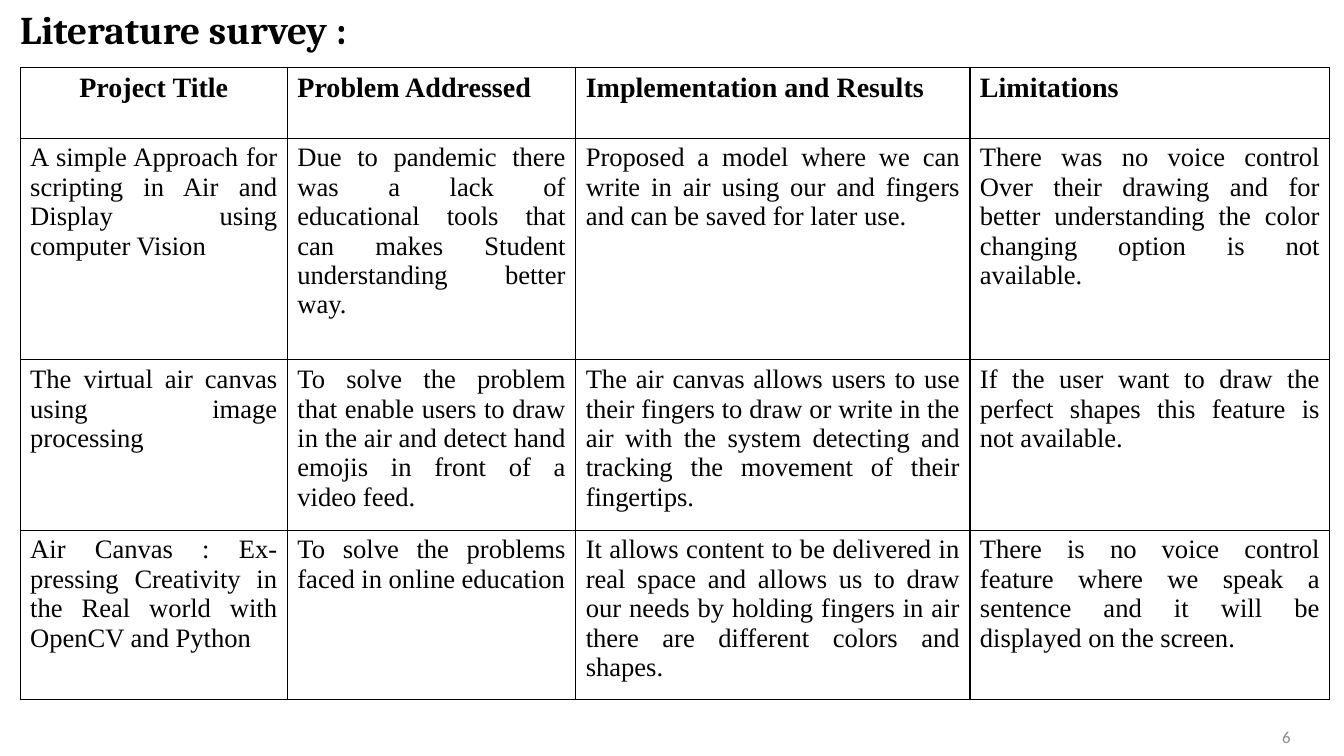
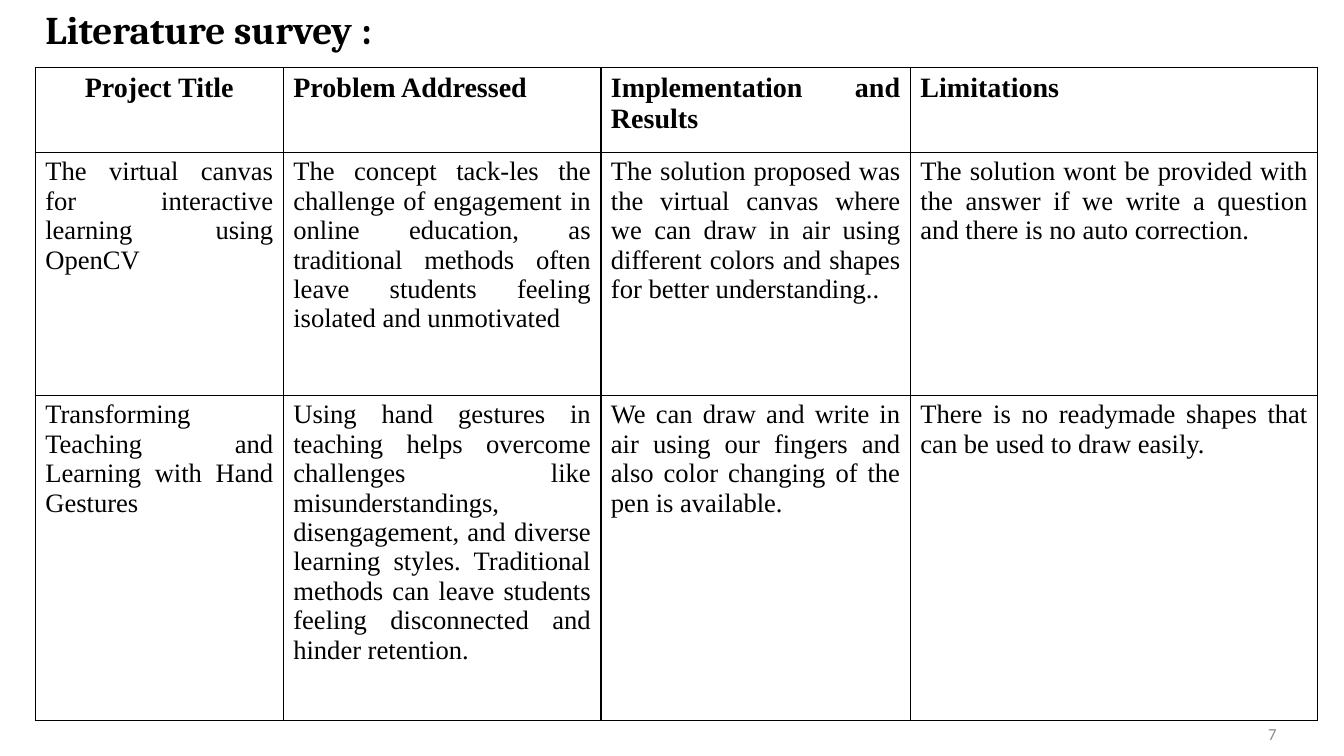
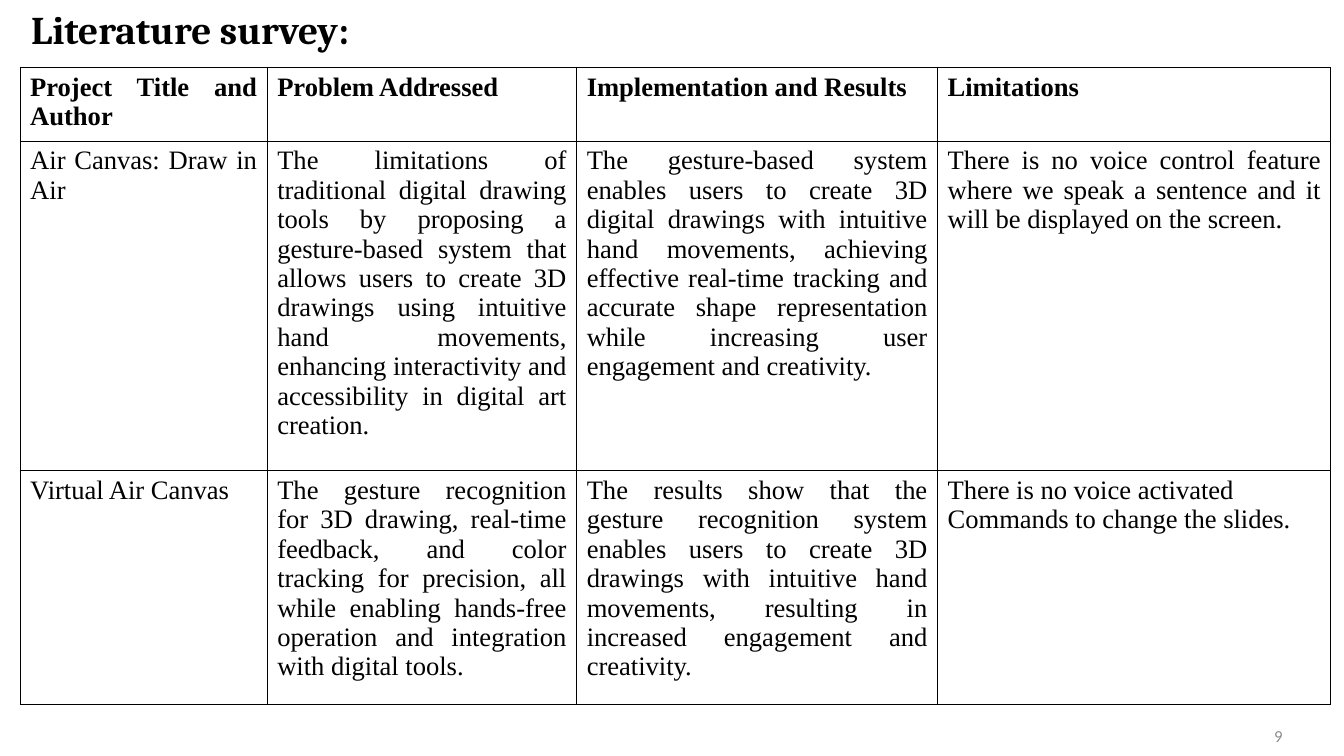
from lxml import etree
from pptx import Presentation
from pptx.dml.color import RGBColor
from pptx.enum.text import MSO_ANCHOR, MSO_AUTO_SIZE, PP_ALIGN
from pptx.oxml.ns import qn
from pptx.util import Pt

PX = 9144
LEFT, CENTER, RIGHT, JUSTIFY = PP_ALIGN.LEFT, PP_ALIGN.CENTER, PP_ALIGN.RIGHT, PP_ALIGN.JUSTIFY
TOP, MIDDLE = MSO_ANCHOR.TOP, MSO_ANCHOR.MIDDLE
NO_AUTOFIT = MSO_AUTO_SIZE.NONE
COLORS = {"ink": "000000", "paper": "FFFFFF", "page number": "8C8C8C"}
TABLE_TOP = 67
BODY_SIZE = 19

SURVEYS = [
    {
        "title": "Literature survey :", "title_left": 10,
        "number": "6", "number_at": (990, 711),
        "table_left": 20, "columns": [265, 286, 391, 357], "rows": [70, 220, 169, 168],
        "header_size": 20, "first_header": CENTER,
        "cells": [
            ["Project Title", "Problem Addressed", "Implementation and Results", "Limitations"],
            ["A simple Approach for scripting in Air and Display using computer Vision",
             "Due to pandemic there was a lack of educational tools that can makes Student "
             "understanding better way.",
             "Proposed a model where we can write in air using our and fingers and can be "
             "saved for later use.",
             "There was no voice control Over their drawing and for better understanding the "
             "color changing option is not available."],
            ["The virtual air canvas using image processing",
             "To solve the problem that enable users to draw in the air and detect hand emojis "
             "in front of a video feed.",
             "The air canvas allows users to use their fingers to draw or write in the air with "
             "the system detecting and tracking the movement of their fingertips.",
             "If the user want to draw the perfect shapes this feature is not available."],
            ["Air Canvas : Ex-pressing Creativity in the Real world with OpenCV and Python",
             "To solve the problems faced in online education",
             "It allows content to be delivered in real space and allows us to draw our needs by "
             "holding fingers in air there are different colors and shapes.",
             "There is no voice control feature where we speak a sentence and it will be "
             "displayed on the screen."],
        ],
    },
    {
        "title": "Literature survey :", "title_left": 35,
        "number": "7", "number_at": (976, 708),
        "table_left": 35, "columns": [246, 315, 307, 404], "rows": [84, 241, 323],
        "header_size": 20, "first_header": CENTER,
        "cells": [
            ["Project Title", "Problem Addressed", "Implementation and Results", "Limitations"],
            ["The virtual canvas for interactive learning using OpenCV",
             "The concept tack-les the challenge of engagement in online education, as "
             "traditional methods often leave students feeling isolated and unmotivated",
             "The solution proposed was the virtual canvas where we can draw in air using "
             "different colors and shapes for better understanding..",
             "The solution wont be provided with the answer if we write a question and there is "
             "no auto correction."],
            ["Transforming Teaching and Learning with Hand Gestures",
             "Using hand gestures in teaching helps overcome challenges like misunderstandings, "
             "disengagement, and diverse learning styles. Traditional methods can leave students "
             "feeling disconnected and hinder retention.",
             "We can draw and write in air using our fingers and also color changing of the pen "
             "is available.",
             "There is no readymade shapes that can be used to draw easily."],
        ],
    },
    {
        "title": "Literature survey:", "title_left": 21,
        "number": "9", "number_at": (982, 710),
        "table_left": 20, "columns": [245, 307, 358, 390], "rows": [73, 327, 232],
        "header_size": 19, "first_header": JUSTIFY,
        "cells": [
            ["Project Title and Author", "Problem Addressed", "Implementation and Results",
             "Limitations"],
            ["Air Canvas: Draw in Air",
             "The limitations of traditional digital drawing tools by proposing a gesture-based "
             "system that allows users to create 3D drawings using intuitive hand movements, "
             "enhancing interactivity and accessibility in digital art creation.",
             "The gesture-based system enables users to create 3D digital drawings with "
             "intuitive hand movements, achieving effective real-time tracking and accurate "
             "shape representation while increasing user engagement and creativity.",
             "There is no voice control feature where we speak a sentence and it will be "
             "displayed on the screen."],
            ["Virtual Air Canvas",
             "The gesture recognition for 3D drawing, real-time feedback, and color tracking for "
             "precision, all while enabling hands-free operation and integration with digital "
             "tools.",
             "The results show that the gesture recognition system enables users to create 3D "
             "drawings with intuitive hand movements, resulting in increased engagement and "
             "creativity.",
             "There is no voice activated\nCommands to change the slides."],
        ],
    },
]


def write(frame, text, font, size, color, align, bold=False):
    frame.text = text
    for paragraph in frame.paragraphs:
        paragraph.alignment = align
        for span in paragraph.runs:
            span.font.name = font
            span.font.size = Pt(size)
            span.font.bold = bold
            span.font.color.rgb = RGBColor.from_string(COLORS[color])


def style_cell(cell):
    properties = cell._tc.get_or_add_tcPr()
    for side in ("a:lnL", "a:lnR", "a:lnT", "a:lnB"):
        line = etree.SubElement(properties, qn(side), w=str(Pt(1)))
        fill = etree.SubElement(line, qn("a:solidFill"))
        etree.SubElement(fill, qn("a:srgbClr"), val=COLORS["ink"])
    cell.fill.solid()
    cell.fill.fore_color.rgb = RGBColor.from_string(COLORS["paper"])


deck = Presentation()
deck.slide_width = 1333 * PX
deck.slide_height = 750 * PX
title_only = deck.slide_layouts[5]

for survey in SURVEYS:
    page = deck.slides.add_slide(title_only)

    title = page.shapes.title
    title.left, title.top = survey["title_left"] * PX, 0
    title.width, title.height = 1221 * PX, 57 * PX
    title.text_frame.auto_size = NO_AUTOFIT
    title.text_frame.vertical_anchor = TOP
    write(title.text_frame, survey["title"], "Cambria", 28, "ink", LEFT, True)

    columns, rows = survey["columns"], survey["rows"]
    table = page.shapes.add_table(
        len(rows), len(columns), survey["table_left"] * PX, TABLE_TOP * PX,
        sum(columns) * PX, sum(rows) * PX).table
    table.first_row = False
    table.horz_banding = False
    for column, width in zip(table.columns, columns):
        column.width = width * PX
    for row_index, (row, height) in enumerate(zip(table.rows, rows)):
        row.height = height * PX
        header = row_index == 0
        size = survey["header_size"] if header else BODY_SIZE
        for column_index, cell in enumerate(row.cells):
            align = survey["first_header"] if header and column_index == 0 else JUSTIFY
            text = survey["cells"][row_index][column_index]
            write(cell.text_frame, text, "Times New Roman", size, "ink", align, header)
            style_cell(cell)

    left, top = survey["number_at"]
    number_box = page.shapes.add_textbox(left * PX, top * PX, 300 * PX, 40 * PX)
    number_box.text_frame.word_wrap = True
    number_box.text_frame.vertical_anchor = MIDDLE
    write(number_box.text_frame, survey["number"], "Calibri", 12, "page number", RIGHT)

deck.save("out.pptx")
